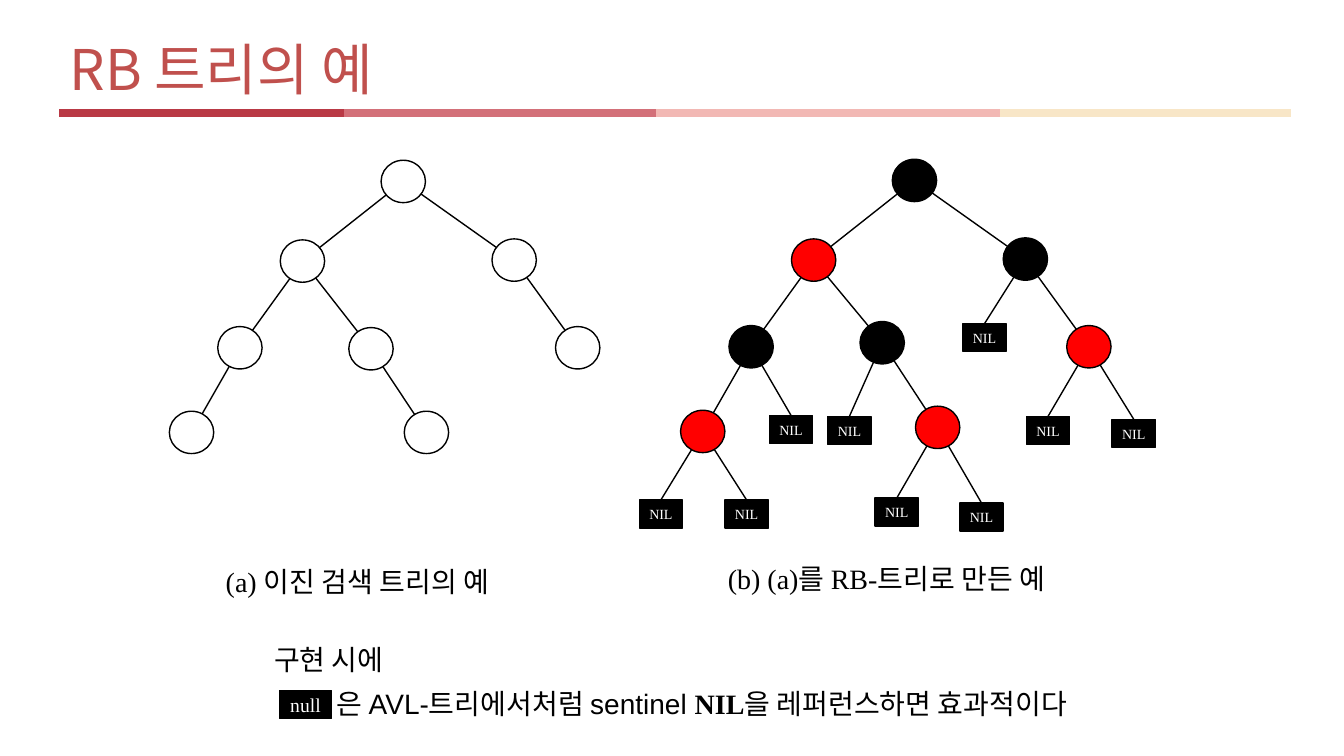
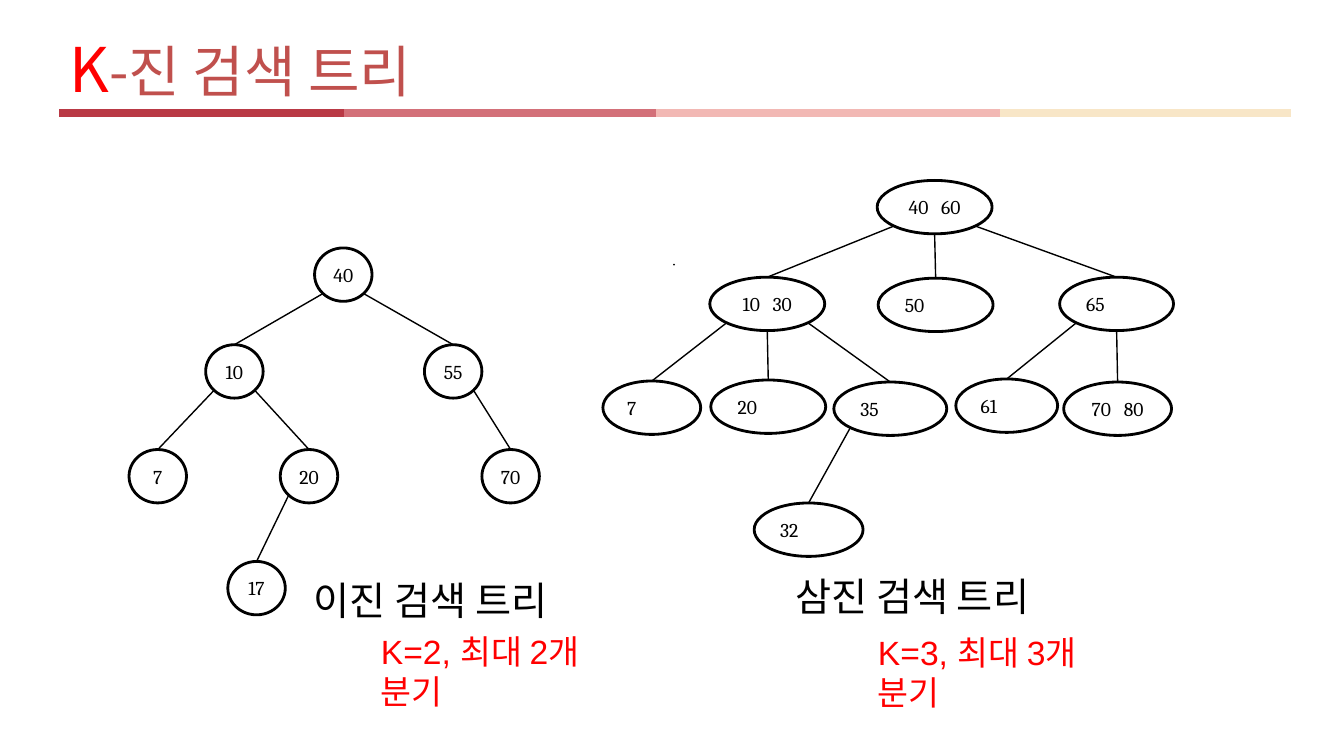
from math import hypot, sqrt

from lxml import etree
from pptx import Presentation
from pptx import util as u
from pptx.dml.color import RGBColor
from pptx.enum import shapes, text
from pptx.oxml.ns import qn

BLACK, WHITE, RED, ROSE = "000000", "FFFFFF", "FF0000", "C0504D"
HANGUL, SANS, SERIF, KEY_FONT = "Noto Sans CJK KR", "Arial", "Times New Roman", "Cambria"
CENTER, JUSTIFY = text.PP_ALIGN.CENTER, text.PP_ALIGN.JUSTIFY

BAND_Y, BAND_STOPS = 1.12, (0.59, 3.41, 6.51, 9.92, 12.8)
BAND_COLORS = ("B93945", "D37079", "F2B8B4", "F8E6C7")

# A node's path spells the branches from the root "r"; its parent is the path
# without the last letter: L left, M middle, R right.

# path: (left in the red-black tree, top in plain tree, top in red-black tree, colour)
CIRCLE = (0.44, 0.42)
PLAIN_SHIFT = -5.07
RB_NODES = {
    "r": (8.85, 1.59, 1.58, BLACK),
    "rL": (7.85, 2.38, 2.37, RED),
    "rR": (9.95, 2.37, 2.36, BLACK),
    "rLL": (7.23, 3.24, 3.23, BLACK),
    "rLR": (8.53, 3.25, 3.19, BLACK),
    "rRR": (10.58, 3.24, 3.23, RED),
    "rLLL": (6.75, 4.08, 4.07, RED),
    "rLRR": (9.08, 4.08, 4.03, RED),
}
NIL_SIZE = (0.43, 0.28)
NILS = {
    "rRL": (9.55, 3.21), "rLLR": (7.63, 4.12), "rLRL": (8.21, 4.13),
    "rRRL": (10.18, 4.13), "rRRR": (11.03, 4.16), "rLLLL": (6.34, 4.96),
    "rLLLR": (7.19, 4.96), "rLRRL": (8.68, 4.94), "rLRRR": (9.52, 4.99),
}

# path: (left, top, width, keys)
KEY_HEIGHT = 0.53
BINARY = {
    "r": (3.12, 2.46, 0.57, "40"),
    "rL": (2.04, 3.42, 0.57, "10"), "rR": (4.21, 3.42, 0.57, "55"),
    "rLL": (1.28, 4.46, 0.57, "7"), "rLR": (2.78, 4.46, 0.57, "20"),
    "rRR": (4.78, 4.46, 0.57, "70"), "rLRL": (2.26, 5.57, 0.57, "17"),
}
TERNARY = {
    "r": (8.7, 1.79, 1.14, "40 60"),
    "rL": (7.04, 2.75, 1.14, "10 30"), "rM": (8.71, 2.76, 1.14, "50"),
    "rR": (10.51, 2.75, 1.13, "65"),
    "rLL": (5.98, 3.78, 0.97, "7"), "rLM": (7.05, 3.77, 1.14, "20"),
    "rLR": (8.27, 3.79, 1.12, "35"), "rRL": (9.48, 3.76, 1.01, "61"),
    "rRM": (10.55, 3.79, 1.07, "70 80"), "rLRL": (7.48, 4.99, 1.08, "32"),
}


def rgb(color):
    return RGBColor.from_string(color)


def add_run(paragraph, words, size, font, color=BLACK, bold=False):
    run = paragraph.add_run()
    run.text = words
    run.font.size, run.font.name, run.font.bold = u.Pt(size), font, bold
    run.font.color.rgb = rgb(color)
    latin = run.font._element.find(qn("a:latin"))
    east_asian = etree.Element(qn("a:ea"), typeface=HANGUL)
    latin.addnext(east_asian)
    return run


def add_line(slide, start, end, color=BLACK, width=1):
    line = slide.shapes.add_connector(
        shapes.MSO_CONNECTOR.STRAIGHT, *(u.Inches(v) for v in (*start, *end)))
    line.line.color.rgb, line.line.width = rgb(color), u.Pt(width)
    etree.SubElement(line.element.spPr, qn("a:effectLst"))
    return line


def add_node(slide, box, kind=shapes.MSO_SHAPE.OVAL, fill=None, width=1):
    node = slide.shapes.add_shape(kind, *(u.Inches(v) for v in box))
    node.shadow.inherit = False
    if fill:
        node.fill.solid()
        node.fill.fore_color.rgb = rgb(fill)
    else:
        node.fill.background()
    node.line.color.rgb, node.line.width = rgb(BLACK), u.Pt(width)
    return node


def add_tag(slide, box, word, size):
    """Black box with a white centred word."""
    tag = add_node(slide, box, shapes.MSO_SHAPE.RECTANGLE, BLACK)
    frame = tag.text_frame
    frame.word_wrap = False
    frame.margin_left = frame.margin_right = frame.margin_top = frame.margin_bottom = 0
    frame.vertical_anchor = text.MSO_ANCHOR.MIDDLE
    frame.paragraphs[0].alignment = CENTER
    add_run(frame.paragraphs[0], word, size, SERIF, WHITE)
    return tag


def add_text(slide, box, runs, align=None, spacing=None, wrap=True):
    frame = slide.shapes.add_textbox(*(u.Inches(v) for v in box)).text_frame
    frame.word_wrap = wrap
    paragraph = frame.paragraphs[0]
    paragraph.alignment, paragraph.line_spacing = align, spacing
    for run in runs:
        add_run(paragraph, *run)


def add_band(slide, layout):
    """Draw the four-colour band and move it to the layout."""
    for left, right, color in zip(BAND_STOPS, BAND_STOPS[1:], BAND_COLORS):
        line = add_line(slide, (left, BAND_Y), (right, BAND_Y), color, 6)
        layout.shapes.element.append(line.element)


def add_titled_slide(deck, layout, runs):
    slide = deck.slides.add_slide(layout)
    title = slide.shapes.title
    title.left, title.top, title.width, title.height = (
        u.Inches(v) for v in (0.59, 0.32, 12.17, 0.79))
    frame = title.text_frame
    frame.auto_size, frame.word_wrap = text.MSO_AUTO_SIZE.NONE, True
    frame.vertical_anchor = text.MSO_ANCHOR.MIDDLE
    paragraph = frame.paragraphs[0]
    paragraph.alignment, paragraph.line_spacing = text.PP_ALIGN.LEFT, 0.9
    for words, size, color in runs:
        add_run(paragraph, words, size, HANGUL, color)
    return slide


def rim_point(center, target):
    """Where the way from a circle's centre to the target crosses its rim."""
    dx, dy = target[0] - center[0], target[1] - center[1]
    share = 1 / hypot(dx / (CIRCLE[0] / 2), dy / (CIRCLE[1] / 2))
    return center[0] + dx * share, center[1] + dy * share


def add_circle_tree(slide, nodes):
    """Draw circles from path: (left, top, fill) and return their centres."""
    centers = {}
    for path, (left, top, fill) in nodes.items():
        add_node(slide, (left, top, *CIRCLE), fill=fill)
        centers[path] = here = (left + CIRCLE[0] / 2, top + CIRCLE[1] / 2)
        parent = centers.get(path[:-1])
        if parent:
            add_line(slide, rim_point(parent, here), rim_point(here, parent))
    return centers


def add_nils(slide, centers):
    for path, (left, top) in NILS.items():
        nil = add_tag(slide, (left, top, *NIL_SIZE), "NIL", 10)
        head = (left + NIL_SIZE[0] / 2, top)
        edge = add_line(slide, rim_point(centers[path[:-1]], head), head)
        edge.end_connect(nil, 0)


def add_key_tree(slide, nodes, single_align):
    """Draw ellipses with keys; each edge leaves the parent on the child's side."""
    for path, (left, top, width, keys) in nodes.items():
        node = add_node(slide, (left, top, width, KEY_HEIGHT), width=2)
        numbers = keys.split()
        centered = len(numbers) > 1 or single_align == CENTER
        frame = node.text_frame
        frame.word_wrap = not centered
        frame.vertical_anchor = text.MSO_ANCHOR.MIDDLE
        paragraph = frame.paragraphs[0]
        paragraph.alignment = CENTER if centered else single_align
        for i, number in enumerate(numbers):
            if i:
                gap = add_run(paragraph, " ", 14, KEY_FONT)
                gap.font._element.set("spc", "600")
            add_run(paragraph, number, 14, KEY_FONT)
        if path[:-1] in nodes:
            p_left, p_top, p_width, _ = nodes[path[:-1]]
            side = "LMR".index(path[-1]) - 1
            drop = 1 / sqrt(2) if side else 1
            start = (p_left + p_width / 2 * (1 + side / sqrt(2)),
                     p_top + KEY_HEIGHT / 2 * (1 + drop))
            add_line(slide, start, (left + width / 2, top))


def red_black_slide(deck, layout):
    slide = add_titled_slide(deck, layout, [("RB 트리의 예", 40, ROSE)])
    add_band(slide, layout)
    add_circle_tree(slide, {path: (x + PLAIN_SHIFT, y, None)
                            for path, (x, y, _, _) in RB_NODES.items()})
    centers = add_circle_tree(slide, {path: (x, y, color)
                                      for path, (x, _, y, color) in RB_NODES.items()})
    add_nils(slide, centers)
    add_text(slide, (2.14, 5.54, 3.18, 0.42),
             [("(a) ", 20, SERIF), ("이진 검색 트리의 예", 20, HANGUL)], JUSTIFY, 1.02)
    add_text(slide, (7.12, 5.52, 3.8, 0.44),
             [("(b) (a)를 RB-트리로 만든 예", 20, SERIF)], JUSTIFY, 1.02)
    add_text(slide, (2.62, 6.32, 1.4, 0.44), [("구현 시에", 20, SANS)], wrap=False)
    add_tag(slide, (2.77, 6.85, 0.52, 0.28), "null", 14)
    add_text(slide, (3.24, 6.76, 8.17, 0.44),
             [("은 AVL-트리에서처럼 sentinel ", 20, SANS), ("NIL", 20, SERIF, BLACK, True),
              ("을 레퍼런스하면 효과적이다", 20, SANS)])


def k_ary_slide(deck, layout):
    slide = add_titled_slide(deck, layout, [("K", 44, RED), ("-진 검색 트리", 40, ROSE)])
    add_key_tree(slide, BINARY, CENTER)
    add_key_tree(slide, TERNARY, text.PP_ALIGN.LEFT)
    add_line(slide, (6.68, 2.63), (6.69, 2.62))
    for left, top, name, note_left, note_top, note in (
            (3.01, 5.67, "이진 검색 트리", 3.68, 6.21, "K=2, 최대 2개 분기"),
            (7.79, 5.63, "삼진 검색 트리", 8.61, 6.22, "K=3, 최대 3개 분기")):
        add_text(slide, (left, top, 2.78, 0.57), [(name, 28, SANS)])
        add_text(slide, (note_left, note_top, 2.8, 0.51), [(note, 24, SANS, RED)])


def main():
    deck = Presentation()
    deck.slide_width, deck.slide_height = u.Inches(13.33), u.Inches(7.5)
    title_only = deck.slide_layouts[5]
    red_black_slide(deck, title_only)
    k_ary_slide(deck, title_only)
    deck.save("out.pptx")


if __name__ == "__main__":
    main()
